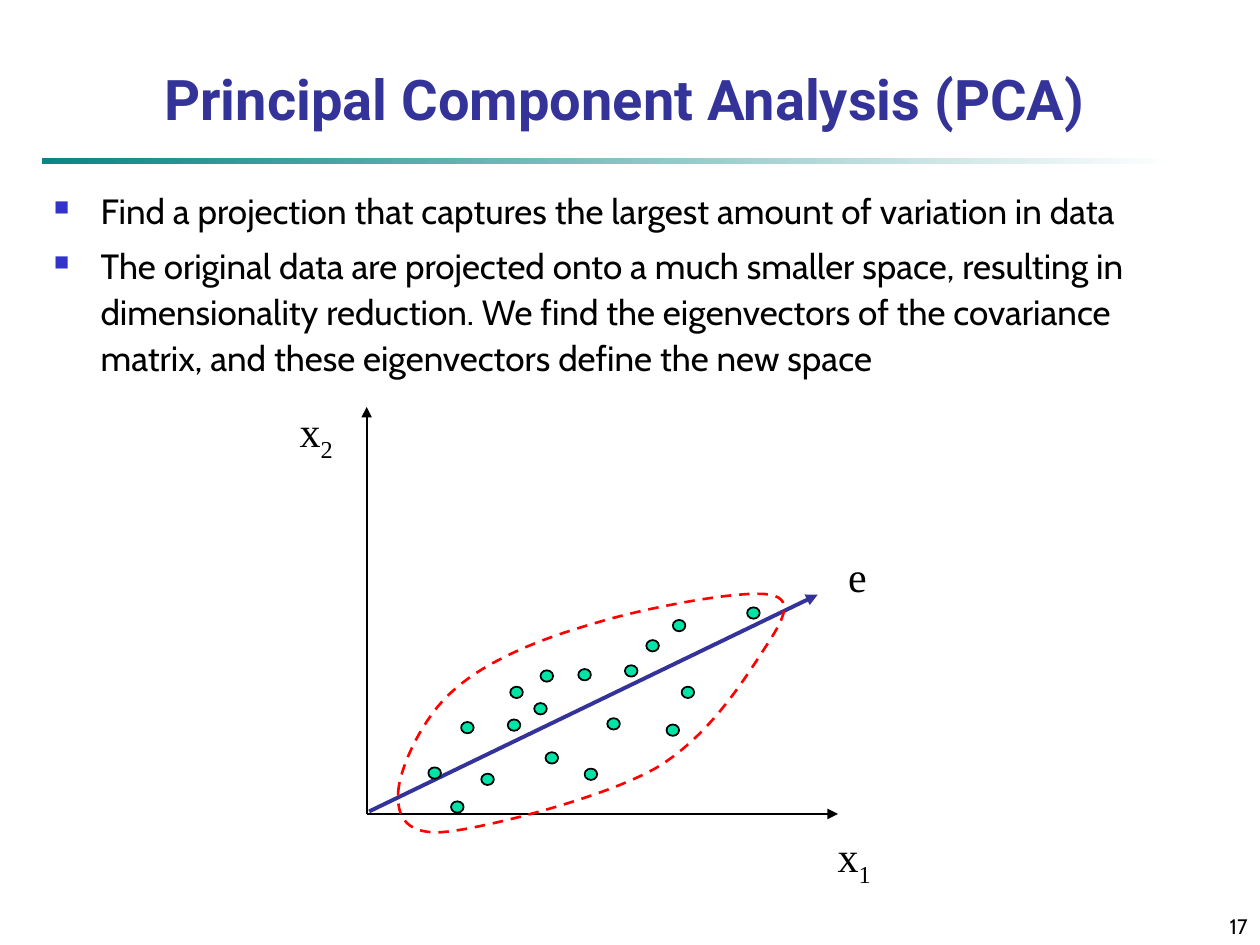
from lxml.etree import SubElement as Sub
from pptx import Presentation
from pptx.dml.color import RGBColor
from pptx.enum.dml import MSO_LINE as Dash
from pptx.enum.shapes import MSO_CONNECTOR as Link, MSO_SHAPE as Form
from pptx.enum.text import MSO_ANCHOR as Anchor, PP_ALIGN as Align
from pptx.oxml.ns import qn
from pptx.util import Inches, Pt

COLS, ROWS = 100, 75  # grid of the slide, one cell is 0.1 inch
BLACK, BLUE, MINT, RED = "000000", "333399", "00E4A8", "FF0000"
TITLE = {"name": "Roboto", "size": Pt(32), "bold": True}
BODY = {"name": "Cabin", "size": Pt(20)}
PAGE = {"name": "Cabin", "size": Pt(12)}
LABEL = {"name": "Times New Roman", "size": Pt(24)}

POINTS = [
    "Find a projection that captures the largest amount of variation in data",
    "The original data are projected onto a much smaller space, resulting in "
    "dimensionality reduction. We find the eigenvectors of the covariance "
    "matrix, and these eigenvectors define the new space",
]

# Plot values: cells right of and above the origin
DOTS = [
    (8, 6.85), (11.9, 9.65), (5.4, 3.25), (13.8, 8.35), (11.7, 7.05),
    (19.6, 7.15), (17.8, 3.15), (14.7, 4.45), (17.3, 11.05), (25.5, 9.65),
    (30.7, 15.95), (9.6, 2.75), (21, 11.35), (24.8, 14.95), (14.3, 10.95),
    (22.7, 13.35), (24.3, 6.65), (7.2, 0.55),
]
# Cubic curves of the outline: knot, two handles, knot, ...
RING = [
    (2.5, 1.7), (2.6, 3.6), (4.4, 7.7),
    (7, 9.9), (9.6, 12.2), (13.8, 13.9),
    (18, 15.1), (22.2, 16.4), (29.8, 17.8),
    (32, 17.4), (34.2, 17), (32.8, 15),
    (31.3, 12.7), (29.8, 10.4), (27, 6),
    (22.9, 3.6), (18.8, 1.3), (9.9, -1),
    (6.5, -1.4), (3.1, -1.8), (2.4, -0.2),
]
LABELS = [("x", "2", -4, 30.1), ("x", "1", 38.7, -3.6), ("e", "", 38.95, 18.9)]


def cell(n):
    return Inches(n / 10)


def color(code):
    return RGBColor.from_string(code)


def style(run, looks, code=BLACK):
    for key, value in looks.items():
        setattr(run.font, key, value)
    run.font.color.rgb = color(code)


def add_box(slide, box, anchor, wrap=True):
    frame = slide.shapes.add_textbox(*map(cell, box)).text_frame
    frame.word_wrap, frame.vertical_anchor = wrap, anchor
    return frame


def add_text(slide, box, text, looks, align, anchor, code=BLACK, wrap=True):
    para = add_box(slide, box, anchor, wrap).paragraphs[0]
    para.alignment = align
    run = para.add_run()
    run.text = text
    style(run, looks, code)
    return para


def add_arrow(slide, start, end, code, width):
    line = slide.shapes.add_connector(Link.STRAIGHT, *map(cell, start + end))
    line.line.color.rgb, line.line.width = color(code), Pt(width)
    Sub(line.line._get_or_add_ln(), qn("a:tailEnd"), type="triangle")
    Sub(line._element.spPr, qn("a:effectLst"))


def add_head(slide, box):
    left, top, width, height = box
    add_text(slide, (left, top, width, height * 0.84),
             "Principal Component Analysis (PCA)", TITLE,
             Align.CENTER, Anchor.BOTTOM, BLUE)
    # Fading rule below the title
    rule = slide.shapes.add_shape(
        Form.RECTANGLE, *map(cell, (left + 1.6, top + height - 0.2, 90, 0.5)))
    rule.shadow.inherit = False
    rule.line.fill.background()
    rule.fill.gradient()
    rule.fill.gradient_angle = 0
    for stop, code in zip(rule.fill.gradient_stops, ("0A8585", "FFFFFF")):
        stop.color.rgb = color(code)


def add_list(slide, box):
    frame = add_box(slide, box, Anchor.TOP)
    for i, text in enumerate(POINTS):
        para = frame.add_paragraph() if i else frame.paragraphs[0]
        # Square bullet with hanging indent
        props = para._p.get_or_add_pPr()
        props.set("marL", str(cell(3.7)))
        props.set("indent", str(-cell(3.7)))
        Sub(Sub(props, qn("a:buClr")), qn("a:srgbClr"), val="3333CC")
        Sub(props, qn("a:buSzPct"), val="60000")
        Sub(props, qn("a:buChar"), char="■")
        para.line_spacing = 1.1
        para.space_before = Pt(5 if i else 0)
        run = para.add_run()
        run.text = text
        style(run, BODY)


def trace(knots, steps=16):
    ends = knots + knots[:1]
    for i in range(0, len(knots), 3):
        for t in (n / steps for n in range(steps)):
            u = 1 - t
            parts = (u ** 3, 3 * u * u * t, 3 * u * t * t, t ** 3)
            yield tuple(sum(w * p[k] for w, p in zip(parts, ends[i:i + 4]))
                        for k in (0, 1))


def add_plot(slide, box):
    left, top, width, height = box

    def spot(x, y):
        return left + x, top + height - y

    # Axes and main direction
    add_arrow(slide, spot(0, 0), spot(0, height), BLACK, 1)
    add_arrow(slide, spot(0, 0), spot(width, 0), BLACK, 1)
    add_arrow(slide, spot(0.2, 0.2), spot(35.8, 17.4), BLUE, 2.25)

    # Data points
    for x, y in (spot(*dot) for dot in DOTS):
        dot = slide.shapes.add_shape(
            Form.OVAL, *map(cell, (x - 0.5, y - 0.45, 1, 0.9)))
        dot.shadow.inherit = False
        dot.fill.solid()
        dot.fill.fore_color.rgb = color(MINT)
        dot.line.color.rgb, dot.line.width = color(BLACK), Pt(1)

    # Dashed outline of the cloud
    first, *rest = [tuple(map(cell, spot(*p))) for p in trace(RING)]
    path = slide.shapes.build_freeform(*first)
    path.add_line_segments(rest, close=True)
    ring = path.convert_to_shape()
    ring.shadow.inherit = False
    ring.fill.background()
    ring.line.color.rgb, ring.line.width = color(RED), Pt(1.5)
    ring.line.dash_style = Dash.DASH

    # Axis labels
    for text, sub, x, y in LABELS:
        wide, high = (4.6, 5.6) if sub else (3.5, 5)
        x, y = spot(x, y)
        para = add_text(slide, (x - wide / 2, y - high / 2, wide, high), text,
                        LABEL, Align.CENTER, Anchor.MIDDLE, wrap=False)
        if sub:
            run = para.add_run()
            run.text = sub
            style(run, LABEL)
            run._r.get_or_add_rPr().set("baseline", "-25000")


def main():
    deck = Presentation()
    deck.slide_width, deck.slide_height = cell(COLS), cell(ROWS)
    slide = deck.slides.add_slide(deck.slide_layouts[6])
    add_head(slide, (1.7, 1.7, 95.8, 11))
    add_list(slide, (3.3, 14.2, 91.7, 17.5))
    add_plot(slide, (29.1, 32.3, 37.4, 32.3))
    add_text(slide, (COLS - 20.8, ROWS - 4.2, 20.8, 4.2), "17", PAGE,
             Align.RIGHT, Anchor.BOTTOM)
    deck.save("out.pptx")


if __name__ == "__main__":
    main()
